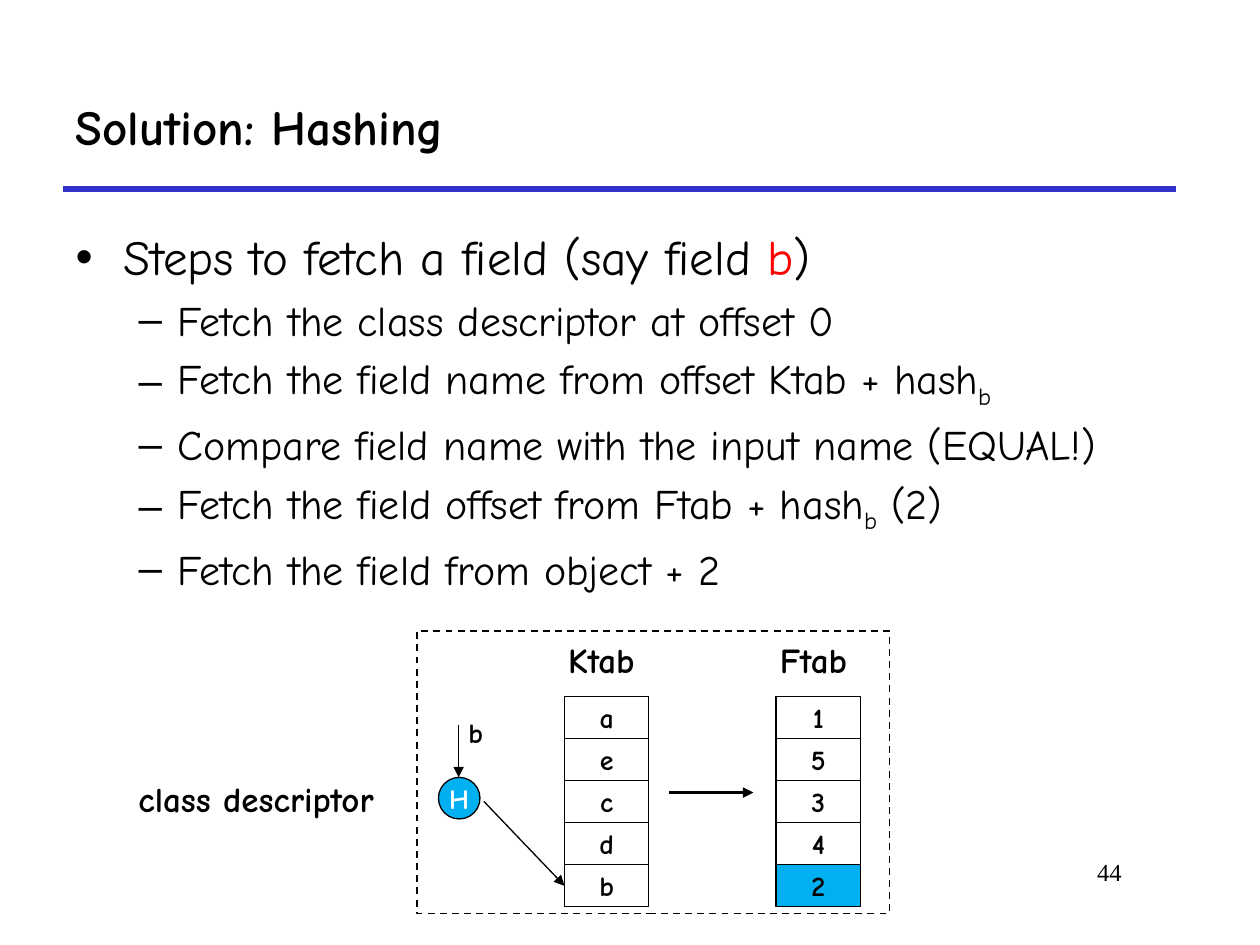
from lxml.etree import SubElement
from pptx import Presentation
from pptx.dml.color import RGBColor
from pptx.enum.dml import MSO_LINE
from pptx.enum.shapes import MSO_CONNECTOR, MSO_SHAPE
from pptx.enum.text import MSO_ANCHOR, MSO_AUTO_SIZE, PP_ALIGN
from pptx.oxml.ns import qn
from pptx.util import Emu, Pt

EMU_PER_PX = 9144  # 100 px to the inch

BLACK = RGBColor(0x00, 0x00, 0x00)
WHITE = RGBColor(0xFF, 0xFF, 0xFF)
RED = RGBColor(0xFF, 0x00, 0x00)
RULE_BLUE = RGBColor(0x33, 0x33, 0xCC)
HIGHLIGHT = RGBColor(0x00, 0xB0, 0xF0)

FONT = "Comic Neue"
NUMBER_FONT = "Times New Roman"

CELL_WIDTH, CELL_HEIGHT = 67, 33.3
SUBSCRIPT = "sub"

# Each line: level, then runs of (text, style)
STEPS = [
    (0, [("Steps to fetch a field (say field ", None), ("b", RED), (")", None)]),
    (1, [("Fetch the class descriptor at offset 0", None)]),
    (1, [("Fetch the field name from offset Ktab + hash", None), ("b", SUBSCRIPT)]),
    (1, [("Compare field name with the input name (EQUAL!)", None)]),
    (1, [("Fetch the field offset from Ftab + hash", None), ("b", SUBSCRIPT),
         (" (2)", None)]),
    (1, [("Fetch the field from object + 2", None)]),
]
# Per level: text size, left margin, hanging indent
LEVELS = [(28, 38, 38), (24, 81, 31)]


def px(length):
    return Emu(round(length * EMU_PER_PX))


def place(shape, left, top, width, height):
    shape.left, shape.top = px(left), px(top)
    shape.width, shape.height = px(width), px(height)


def style_run(run, size, color=BLACK, bold=True, font=FONT):
    run.font.name = font
    run.font.size = Pt(size)
    run.font.bold = bold
    run.font.color.rgb = color


def add_label(slide, text, left, top, width, height, size,
              align=PP_ALIGN.LEFT, bold=True, font=FONT):
    box = slide.shapes.add_textbox(px(left), px(top), px(width), px(height))
    box.text_frame.text = text
    paragraph = box.text_frame.paragraphs[0]
    paragraph.alignment = align
    style_run(paragraph.runs[0], size, bold=bold, font=font)


def add_outlined(slide, kind, left, top, width, height, text="",
                 fill=None, color=BLACK, line_width=0.75):
    shape = slide.shapes.add_shape(kind, px(left), px(top), px(width), px(height))
    shape.shadow.inherit = False
    if fill is None:
        shape.fill.background()
    else:
        shape.fill.solid()
        shape.fill.fore_color.rgb = fill
    shape.line.color.rgb = BLACK
    shape.line.width = Pt(line_width)
    if text:
        frame = shape.text_frame
        frame.text = text
        frame.word_wrap = False
        frame.vertical_anchor = MSO_ANCHOR.MIDDLE
        frame.margin_left = frame.margin_right = 0
        frame.margin_top = frame.margin_bottom = 0
        frame.paragraphs[0].alignment = PP_ALIGN.CENTER
        style_run(frame.paragraphs[0].runs[0], 16, color)
    return shape


def add_line(slide, start, end, width, color=BLACK, arrow=True):
    line = slide.shapes.add_connector(
        MSO_CONNECTOR.STRAIGHT, *(px(value) for value in (*start, *end)))
    line.line.color.rgb = color
    line.line.width = Pt(width)
    properties = line._element.spPr
    if arrow:
        SubElement(properties.find(qn("a:ln")), qn("a:tailEnd"), type="triangle")
    SubElement(properties, qn("a:effectLst"))


def build_header(slide, left, top, width, height):
    title = slide.shapes.title
    place(title, left, top, width, height)
    frame = title.text_frame
    frame.text = "Solution: Hashing"
    frame.auto_size = MSO_AUTO_SIZE.NONE
    frame.vertical_anchor = MSO_ANCHOR.MIDDLE
    frame.paragraphs[0].alignment = PP_ALIGN.LEFT
    style_run(frame.paragraphs[0].runs[0], 28)
    bottom = top + height
    add_line(slide, (left, bottom), (left + width, bottom), 3, RULE_BLUE, arrow=False)


def build_steps(slide, left, top, width, height):
    body = slide.placeholders[1]
    place(body, left, top, width, height)
    frame = body.text_frame
    frame.auto_size = MSO_AUTO_SIZE.NONE
    for index, (level, runs) in enumerate(STEPS):
        paragraph = frame.add_paragraph() if index else frame.paragraphs[0]
        paragraph.level = level
        size, margin, hanging = LEVELS[level]
        properties = paragraph._p.get_or_add_pPr()
        properties.set("marL", str(px(margin)))
        properties.set("indent", str(-px(hanging)))
        for text, style in runs:
            run = paragraph.add_run()
            run.text = text
            style_run(run, size, RED if style == RED else BLACK, bold=False)
            if style == SUBSCRIPT:
                run.font._element.set("baseline", "-25000")


def build_column(slide, left, top, heading, values, highlighted=None):
    add_label(slide, heading, left - 7, top - 51, 82, 44, 20)
    for row, value in enumerate(values):
        add_outlined(slide, MSO_SHAPE.RECTANGLE, left, top + row * CELL_HEIGHT,
                     CELL_WIDTH, CELL_HEIGHT, value,
                     HIGHLIGHT if value == highlighted else None)


def build_descriptor(slide, left, top, width, height):
    """Dashed class descriptor: hash function, key table and field table."""
    frame = add_outlined(slide, MSO_SHAPE.RECTANGLE, left, top, width, height,
                         line_width=1)
    frame.line.dash_style = MSO_LINE.DASH
    add_label(slide, "class descriptor", left - 231, top + 111, 230, 44, 20)

    build_column(slide, left + 117, top + 52, "Ktab", "aecdb")
    build_column(slide, left + 285, top + 52, "Ftab", "15342", highlighted="2")
    add_line(slide, (left + 200, top + 128), (left + 267, top + 128), 2)

    add_label(slide, "b", left + 31, top + 62, 34, 37, 16)
    add_line(slide, (left + 33, top + 74), (left + 33, top + 116), 1)
    add_outlined(slide, MSO_SHAPE.OVAL, left + 17, top + 116, 33, 33, "H",
                 HIGHLIGHT, WHITE)
    add_line(slide, (left + 53, top + 135), (left + 117, top + 202), 0.75)


def main():
    presentation = Presentation()
    presentation.slide_width, presentation.slide_height = px(1000), px(750)
    slide = presentation.slides.add_slide(presentation.slide_layouts[1])
    build_header(slide, 50, 50, 883, 100)
    build_steps(slide, 50, 175, 908, 483)
    build_descriptor(slide, 331, 501, 375, 224)
    add_label(slide, "44", 758, 675, 142, 50, 14, PP_ALIGN.RIGHT,
              bold=False, font=NUMBER_FONT)
    presentation.save("out.pptx")


if __name__ == "__main__":
    main()
